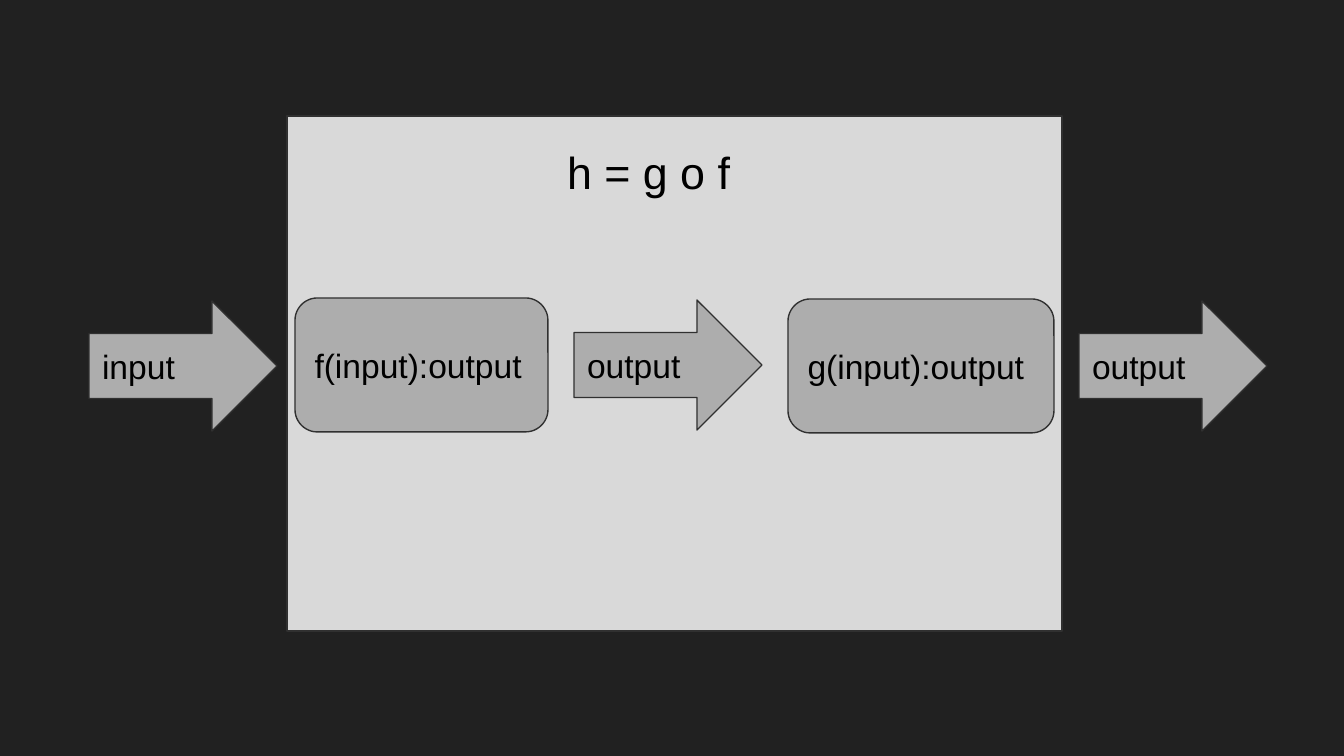
import pptx
import pptx.util
import pptx.dml.color
import pptx.enum.shapes
import pptx.enum.text

RGB = pptx.dml.color.RGBColor
KIND = pptx.enum.shapes.MSO_SHAPE
ANCHOR = pptx.enum.text.MSO_ANCHOR

DARK = RGB(0x21, 0x21, 0x21)
PANEL = RGB(0xD9, 0xD9, 0xD9)
GREY = RGB(0xAD, 0xAD, 0xAD)
EDGE = RGB(0x30, 0x30, 0x30)
BLACK = RGB(0, 0, 0)

# Content: the flow from left to right as (kind, label, left, top, width)
TITLE = "h = g o f"
STEPS = [
    ("arrow", "input", 89, 301, 188),
    ("box", "f(input):output", 295, 298, 253),
    ("arrow", "output", 574, 300, 188),
    ("box", "g(input):output", 788, 299, 266),
    ("arrow", "output", 1079, 301, 188),
]
FORMS = {
    "arrow": (KIND.RIGHT_ARROW, 130),
    "box": (KIND.ROUNDED_RECTANGLE, 134),
}
INSET = 13


def px(num):
    return round(num * 914400 / 134.4)


def write(shape, text, size, anchor):
    frame = shape.text_frame
    frame.text = text
    frame.word_wrap = True
    frame.vertical_anchor = anchor
    frame.margin_left = frame.margin_right = px(INSET)
    frame.margin_top = frame.margin_bottom = px(INSET)
    line = frame.paragraphs[0]
    line.alignment = pptx.enum.text.PP_ALIGN.LEFT
    font = line.runs[0].font
    font.name = "Arial"
    font.size = pptx.util.Pt(size)
    font.color.rgb = BLACK


def draw(slide, kind, area, fill):
    shape = slide.shapes.add_shape(kind, *map(px, area))
    shape.shadow.inherit = False
    shape.fill.solid()
    shape.fill.fore_color.rgb = fill
    shape.line.color.rgb = EDGE
    shape.line.width = pptx.util.Pt(0.75)
    return shape


deck = pptx.Presentation()
deck.slide_width, deck.slide_height = px(1344), px(756)
slide = deck.slides.add_slide(deck.slide_layouts[6])
slide.background.fill.solid()
slide.background.fill.fore_color.rgb = DARK

# Panel of the composed function
draw(slide, KIND.RECTANGLE, (287, 116, 775, 515), PANEL)

# Arrows and function boxes
for form, label, left, top, width in STEPS:
    kind, height = FORMS[form]
    step = draw(slide, kind, (left, top, width, height), GREY)
    write(step, label, 18, ANCHOR.MIDDLE)

# Title
title = slide.shapes.add_textbox(*map(px, (554, 132, 228, 112)))
write(title, TITLE, 24, ANCHOR.TOP)

deck.save("out.pptx")
